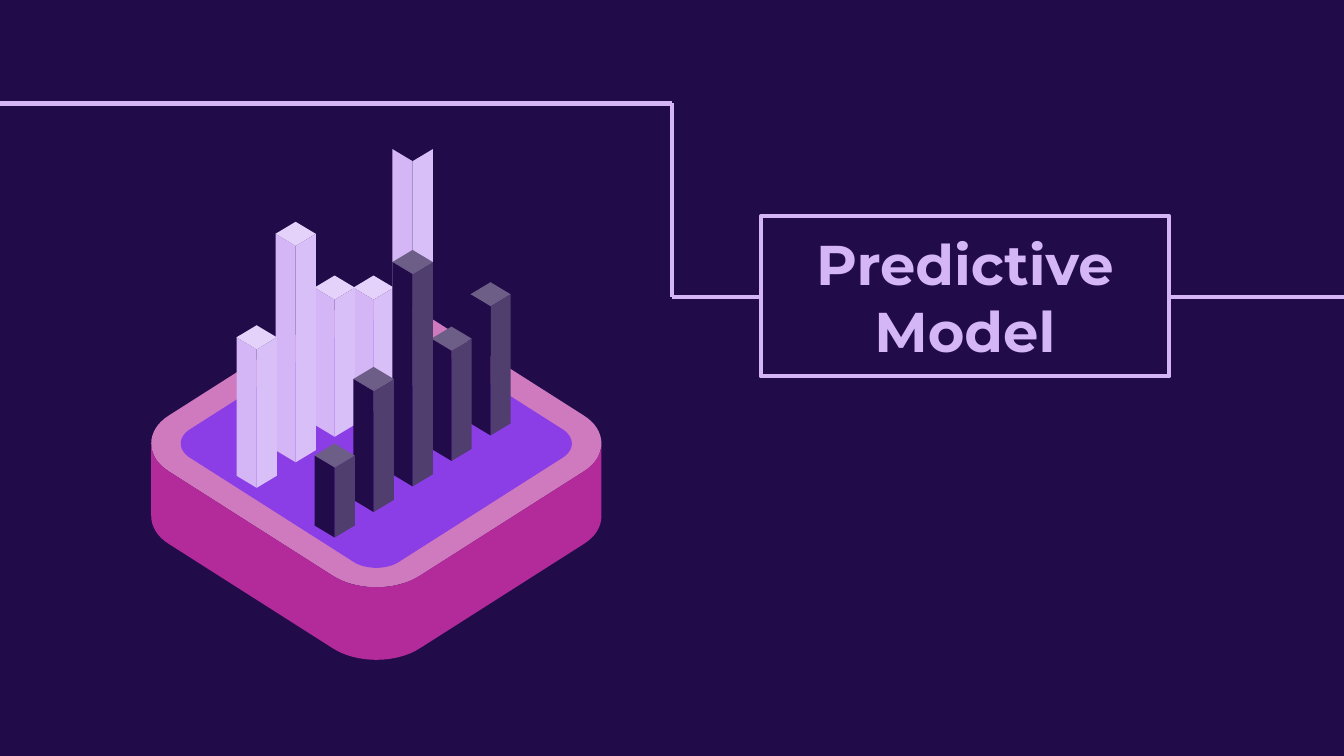
from lxml import etree
from pptx import Presentation
from pptx import util as u
from pptx.dml.color import RGBColor
from pptx.enum import shapes, text
from pptx.oxml.ns import qn

hue = RGBColor.from_string
NIGHT, LILAC = "220B49", "D4B6F6"

# Wide slide, 16 to 9
deck = Presentation()
deck.slide_width = u.Inches(10)
deck.slide_height = deck.slide_width * 9 // 16
slide = deck.slides.add_slide(deck.slide_layouts[5])
slide.background.fill.solid()
slide.background.fill.fore_color.rgb = hue(NIGHT)


def write(shape, words, size=30, font="Montserrat", color=LILAC, bold=True):
    frame = shape.text_frame
    frame.text = words
    frame.word_wrap = True
    frame.auto_size = text.MSO_AUTO_SIZE.NONE
    frame.vertical_anchor = text.MSO_ANCHOR.MIDDLE
    for side in ("left", "top", "right", "bottom"):
        setattr(frame, f"margin_{side}", u.Inches(0.1))
    para = frame.paragraphs[0]
    para.alignment = text.PP_ALIGN.CENTER
    style = para.runs[0].font
    style.name, style.size, style.bold = font, u.Pt(size), bold
    style.color.rgb = hue(color)


def draw(group, points, color):
    spots = [(u.Inches(x), u.Inches(y)) for x, y in points]
    pen = group.shapes.build_freeform(*spots[0])
    pen.add_line_segments(spots[1:], close=True)
    face = pen.convert_to_shape()
    face.shadow.inherit = False
    face.fill.solid()
    face.fill.fore_color.rgb = hue(color)
    face.line.fill.background()


# Stepped line that runs behind the title
route = [(10.03, 2.21), (5, 2.21), (5, 0.77), (-0.12, 0.77)]
for (x1, y1), (x2, y2) in zip(route, route[1:]):
    wire = slide.shapes.add_connector(
        shapes.MSO_CONNECTOR.STRAIGHT, *map(u.Inches, (x1, y1, x2, y2)))
    wire.line.color.rgb = hue(LILAC)
    wire.line.width = u.Pt(2.25)
    etree.SubElement(wire._element.spPr, qn("a:effectLst"))

# Title box, moved in front of the line
title = slide.shapes.title
title.left, title.top = u.Inches(5.66), u.Inches(1.61)
title.width, title.height = u.Inches(3.04), u.Inches(1.19)
title.fill.solid()
title.fill.fore_color.rgb = hue(NIGHT)
title.line.color.rgb = hue(LILAC)
title.line.width = u.Pt(2.25)
write(title, "Predictive Model")
slide.shapes._spTree.append(title._element)

# Rounded diamonds: end and control points of the right and bottom corners,
# measured from the centre; the other two corners mirror them
chart = slide.shapes.add_group_shape()
mid_x, mid_y, depth, steps = 2.8, 3.3, 0.54, 16
rims = [("CF79BF", (1.54, 0.21), (1.72, 0.1), (0.33, 0.98), (0.15, 1.1)),
        ("8C3EE6", (1.38, 0.11), (1.48, 0.05), (0.17, 0.88), (0.08, 0.94))]
for color, (rx, ry), (rcx, rcy), (bx, by), (bcx, bcy) in rims:
    right = [(rx, -ry), (rcx, -rcy), (rcx, rcy), (rx, ry)]
    base = [(bx, by), (bcx, bcy), (-bcx, bcy), (-bx, by)]
    rim = []
    for sign in (1, -1):
        for curve in (right, base):
            for i in range(steps + 1):
                t = i / steps
                mix = ((1 - t) ** 3, 3 * t * (1 - t) ** 2, 3 * t * t * (1 - t), t ** 3)
                x, y = (sum(m * c for m, c in zip(mix, axis)) for axis in zip(*curve))
                rim.append((mid_x + sign * x, mid_y + sign * y))
    draw(chart, rim, color)
    if color == "CF79BF":
        # Front wall of the slab, below the rim
        edge = [(x, y) for x, y in rim if y > mid_y - 0.01]
        draw(chart, edge + [(x, y + depth) for x, y in reversed(edge)], "B32A9A")

# Bars from back to front: first centre, first foot, tops, and
# colours of the cap, right and left faces
half, drop, step_x, step_y = 0.15, 0.09, 0.29, 0.19
rows = [(3.07, 2.87, [1.02, 2.05, 2.05, 1.65, 2.42], ("E5D2FA", "D9BFF7", LILAC)),
        (3.65, 3.24, [2.1, 2.43, 1.86, 2.73, 3.3], ("6D5E87", "503E6F", NIGHT))]
for first, foot, tops, (cap, light, dark) in rows:
    for i, top in enumerate(tops):
        x, low = first - i * step_x, foot + i * step_y
        brim, front = top + drop, top + 2 * drop
        # The tallest bar is open at the top
        if top != min(rows[0][2]):
            draw(chart, [(x, top), (x - half, brim), (x, front), (x + half, brim)], cap)
        for side, color in ((half, light), (-half, dark)):
            draw(chart, [(x + side, brim), (x, front), (x, low), (x + side, low - drop)], color)

deck.save("out.pptx")
